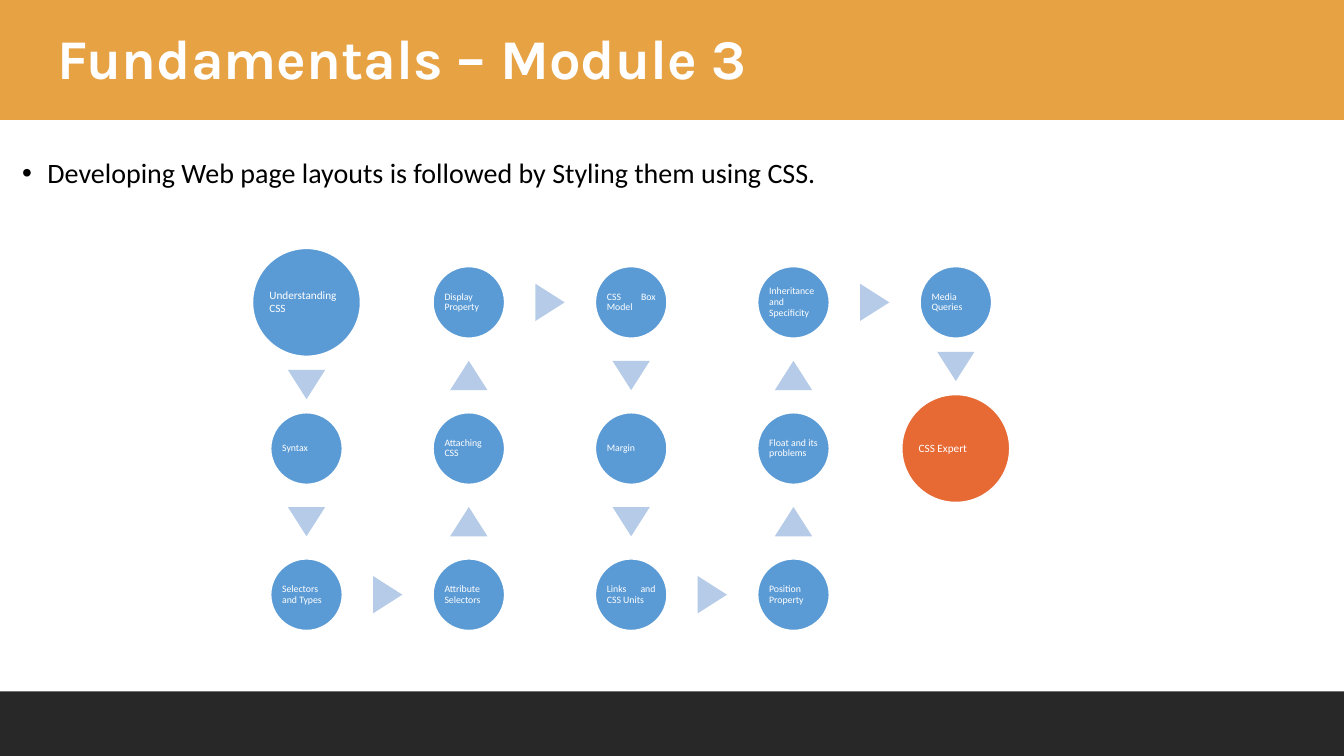
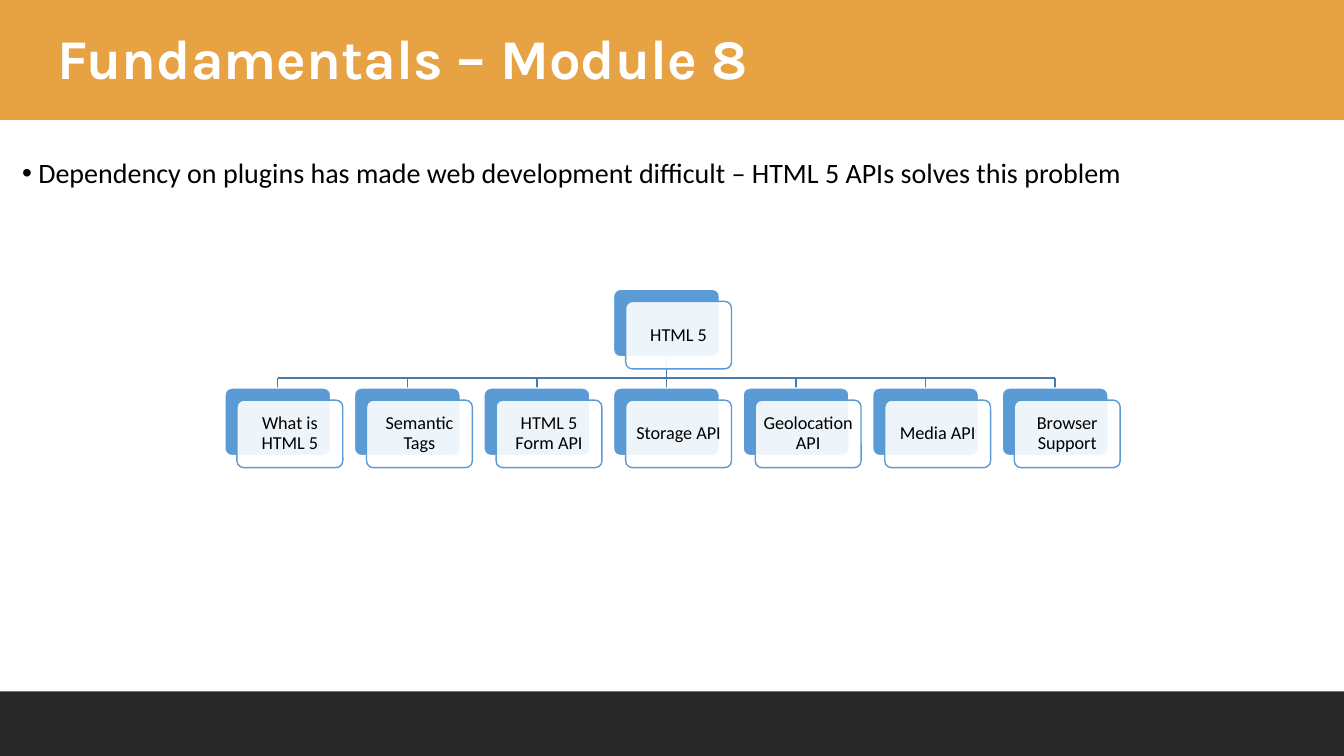
import dataclasses
import itertools

import lxml.etree
import pptx
import pptx.dml.color
import pptx.enum.shapes
import pptx.enum.text
import pptx.oxml.ns
import pptx.slide
import pptx.util

Inches = pptx.util.Inches
Pt = pptx.util.Pt
RGBColor = pptx.dml.color.RGBColor
MSO_SHAPE = pptx.enum.shapes.MSO_SHAPE
ALIGN = pptx.enum.text.PP_ALIGN
ANCHOR = pptx.enum.text.MSO_ANCHOR

WHITE = RGBColor(0xFF, 0xFF, 0xFF)
BLACK = RGBColor(0x00, 0x00, 0x00)
ORANGE = RGBColor(0xE7, 0xA2, 0x44)
CHARCOAL = RGBColor(0x28, 0x28, 0x28)
BLUE = RGBColor(0x5B, 0x9B, 0xD5)
PALE_BLUE = RGBColor(0xB5, 0xCB, 0xE7)
STEEL = RGBColor(0x49, 0x7C, 0xAB)
RED_ORANGE = RGBColor(0xE7, 0x69, 0x34)

SLIDE_WIDTH, SLIDE_HEIGHT = 13.33, 7.5


@dataclasses.dataclass(frozen=True)
class Box:
    left: float
    top: float
    width: float
    height: float

    def format(self) -> dict:
        return {side: Inches(length) for side, length in dataclasses.asdict(self).items()}


@dataclasses.dataclass(frozen=True)
class TextStyle:
    font: dict
    paragraph: dict
    frame: dict


@dataclasses.dataclass(frozen=True)
class Topic:
    label: str
    x: float
    y: float
    size: float
    fill: RGBColor


@dataclasses.dataclass(frozen=True)
class Module:
    title: str
    summary: str
    bullet_indent: float


def text_style(name: str, size: float, color: RGBColor, align: ALIGN, spacing: float,
               anchor: ANCHOR, inset: float | None = None, bold: bool = False) -> TextStyle:
    frame = {"word_wrap": True, "auto_size": pptx.enum.text.MSO_AUTO_SIZE.NONE,
             "vertical_anchor": anchor}
    if inset is not None:
        sides = ("left", "top", "right", "bottom")
        frame |= {f"margin_{side}": Inches(inset) for side in sides}
    return TextStyle(
        {"name": name, "size": Pt(size), "bold": bold},
        {"alignment": align, "line_spacing": spacing, "space_before": Pt(0)},
        frame | {"color": color},
    )


TITLE_STYLE = text_style("Karla", 40, WHITE, ALIGN.LEFT, 0.9, ANCHOR.MIDDLE, bold=True)
SUMMARY_STYLE = text_style("Calibri", 20, BLACK, ALIGN.JUSTIFY, 1.5, ANCHOR.TOP)
TOPIC_STYLE = text_style("Calibri", 7, WHITE, ALIGN.JUSTIFY, 0.9, ANCHOR.MIDDLE, 0.01)
ENDPOINT_STYLE = text_style("Calibri", 8, WHITE, ALIGN.JUSTIFY, 0.9, ANCHOR.MIDDLE, 0.01)
CARD_STYLE = text_style("Calibri", 13, BLACK, ALIGN.CENTER, 0.9, ANCHOR.MIDDLE, 0.05)

# Shared layout
HEADER_BAND = Box(0, 0, SLIDE_WIDTH, 1.19)
FOOTER_BAND = Box(0, 6.86, SLIDE_WIDTH, 0.64)
TITLE_BOX = Box(0.47, 0.29, 9.54, 0.63)
SUMMARY_BOX = Box(0.12, 1.33, 13.09, 5.4)

# Learning path: columns are read down and up in turn
PATH_LEFT, PATH_TOP = 3.04, 3.0
COLUMN_PITCH, ROW_PITCH, ROWS = 1.61, 1.45, 3
CIRCLE_SIZE, ENDPOINT_SIZE = 0.71, 1.07
ARROW_WIDTH, ARROW_HEIGHT = 0.37, 0.29
CSS_TOPICS = [
    "Understanding CSS", "Syntax", "Selectors and Types",
    "Attribute Selectors", "Attaching CSS", "Display Property",
    "CSS Box Model", "Margin", "Links and CSS Units",
    "Position Property", "Float and its problems", "Inheritance and Specificity",
    "Media Queries", "CSS Expert",
]

# Topic tree
TREE_LEFT, TREE_RIGHT = 2.23, 9.94
ROOT_TOP, CHILD_TOP, BRANCH_Y = 2.87, 3.85, 3.75
CARD_WIDTH, CARD_HEIGHT, CARD_OFFSET = 1.05, 0.67, 0.12
HTML_TOPICS = ["What is HTML 5", "Semantic Tags", "HTML 5 Form API", "Storage API",
               "Geolocation API", "Media API", "Browser Support"]

CSS_MODULE = Module("Fundamentals – Module 3",
                    "Developing Web page layouts is followed by Styling them using CSS.", 0.25)
HTML_MODULE = Module("Fundamentals – Module 8",
                     "Dependency on plugins has made web development difficult – "
                     "HTML 5 APIs solves this problem", 0.16)


def apply_format(target, values: dict) -> None:
    for name, value in values.items():
        setattr(target, name, value)


def write(shape, text: str, style: TextStyle) -> None:
    frame = dict(style.frame)
    color = frame.pop("color")
    apply_format(shape.text_frame, frame)
    shape.text_frame.text = text
    paragraph = shape.text_frame.paragraphs[0]
    apply_format(paragraph, style.paragraph)
    font = paragraph.runs[0].font
    apply_format(font, style.font)
    font.color.rgb = color


def draw(slide: pptx.slide.Slide, kind: MSO_SHAPE, box: Box, fill: RGBColor,
         line: RGBColor | None = None):
    shape = slide.shapes.add_shape(kind, **box.format())
    shape.shadow.inherit = False
    shape.fill.solid()
    shape.fill.fore_color.rgb = fill
    if line is None:
        shape.line.fill.background()
    else:
        shape.line.color.rgb = line
        shape.line.width = Pt(1)
    return shape


def add_bands(layout: pptx.slide.SlideLayout, slide: pptx.slide.Slide) -> None:
    """Place the header and footer bands behind the layout's placeholders."""
    for box, fill in ((HEADER_BAND, ORANGE), (FOOTER_BAND, CHARCOAL)):
        band = draw(slide, MSO_SHAPE.RECTANGLE, box, fill)
        layout.shapes.element.insert(2, band.element)


def add_module(deck, layout: pptx.slide.SlideLayout, module: Module) -> pptx.slide.Slide:
    slide = deck.slides.add_slide(layout)
    title, summary = slide.shapes.title, slide.placeholders[1]
    apply_format(title, TITLE_BOX.format())
    write(title, module.title, TITLE_STYLE)
    apply_format(summary, SUMMARY_BOX.format())
    write(summary, module.summary, SUMMARY_STYLE)
    properties = summary.text_frame.paragraphs[0]._p.get_or_add_pPr()
    indent = Inches(module.bullet_indent)
    properties.set("marL", str(indent))
    properties.set("indent", str(-indent))
    return slide


def place_topics() -> list[Topic]:
    topics = []
    last = len(CSS_TOPICS) - 1
    for index, label in enumerate(CSS_TOPICS):
        column, step = divmod(index, ROWS)
        row = step if column % 2 == 0 else ROWS - 1 - step
        topics.append(Topic(
            label, PATH_LEFT + column * COLUMN_PITCH, PATH_TOP + row * ROW_PITCH,
            ENDPOINT_SIZE if index in (0, last) else CIRCLE_SIZE,
            RED_ORANGE if index == last else BLUE))
    return topics


def draw_topic(slide: pptx.slide.Slide, topic: Topic) -> None:
    box = Box(topic.x - topic.size / 2, topic.y - topic.size / 2, topic.size, topic.size)
    circle = draw(slide, MSO_SHAPE.OVAL, box, topic.fill, WHITE)
    write(circle, topic.label, ENDPOINT_STYLE if topic.size == ENDPOINT_SIZE else TOPIC_STYLE)


def draw_arrow(slide: pptx.slide.Slide, start: Topic, end: Topic) -> None:
    """Centre an arrow in the gap between two neighbouring circles."""
    x, y = (start.x + end.x) / 2, (start.y + end.y) / 2
    shift = (start.size - end.size) / 4
    if start.x != end.x:
        rotation, x = 90, x + shift
    elif end.y > start.y:
        rotation, y = 180, y + shift
    else:
        rotation, y = 0, y - shift
    box = Box(x - ARROW_WIDTH / 2, y - ARROW_HEIGHT / 2, ARROW_WIDTH, ARROW_HEIGHT)
    draw(slide, MSO_SHAPE.ISOSCELES_TRIANGLE, box, PALE_BLUE).rotation = rotation


def draw_branch(slide: pptx.slide.Slide, x1: float, y1: float, x2: float, y2: float) -> None:
    branch = slide.shapes.add_connector(pptx.enum.shapes.MSO_CONNECTOR.STRAIGHT,
                                        *map(Inches, (x1, y1, x2, y2)))
    branch.line.color.rgb = STEEL
    branch.line.width = Pt(1)
    properties = branch.element.xpath("./p:spPr")[0]
    lxml.etree.SubElement(properties, pptx.oxml.ns.qn("a:effectLst"))


def draw_card(slide: pptx.slide.Slide, label: str, left: float, top: float) -> None:
    layers = ((0, BLUE, WHITE), (CARD_OFFSET, WHITE, BLUE))
    for offset, fill, line in layers:
        box = Box(left + offset, top + offset, CARD_WIDTH, CARD_HEIGHT)
        card = draw(slide, MSO_SHAPE.ROUNDED_RECTANGLE, box, fill, line)
        card.adjustments[0] = 0.1
    # The front layer is slightly see-through and carries the label
    color = card.element.xpath("./p:spPr/a:solidFill/a:srgbClr")[0]
    lxml.etree.SubElement(color, pptx.oxml.ns.qn("a:alpha"), val="90000")
    write(card, label, CARD_STYLE)


def draw_learning_path(slide: pptx.slide.Slide) -> None:
    topics = place_topics()
    for topic in topics:
        draw_topic(slide, topic)
    for start, end in itertools.pairwise(topics):
        draw_arrow(slide, start, end)


def draw_topic_tree(slide: pptx.slide.Slide) -> None:
    pitch = (TREE_RIGHT - TREE_LEFT) / (len(HTML_TOPICS) - 1)
    lefts = [TREE_LEFT + index * pitch for index in range(len(HTML_TOPICS))]
    root_left = (TREE_LEFT + TREE_RIGHT) / 2
    centers = [left + CARD_WIDTH / 2 for left in lefts]
    root_x = root_left + CARD_WIDTH / 2
    # Trunk, crossbar and drops
    draw_branch(slide, root_x, ROOT_TOP + CARD_HEIGHT, root_x, BRANCH_Y)
    draw_branch(slide, centers[0], BRANCH_Y, centers[-1], BRANCH_Y)
    for x in centers:
        draw_branch(slide, x, BRANCH_Y, x, CHILD_TOP)
    draw_card(slide, "HTML 5", root_left, ROOT_TOP)
    for label, left in zip(HTML_TOPICS, lefts):
        draw_card(slide, label, left, CHILD_TOP)


def main() -> None:
    deck = pptx.Presentation()
    deck.slide_width, deck.slide_height = Inches(SLIDE_WIDTH), Inches(SLIDE_HEIGHT)
    layout = deck.slide_layouts[1]
    css_slide = add_module(deck, layout, CSS_MODULE)
    add_bands(layout, css_slide)
    draw_learning_path(css_slide)
    draw_topic_tree(add_module(deck, layout, HTML_MODULE))
    deck.save("out.pptx")


if __name__ == "__main__":
    main()
